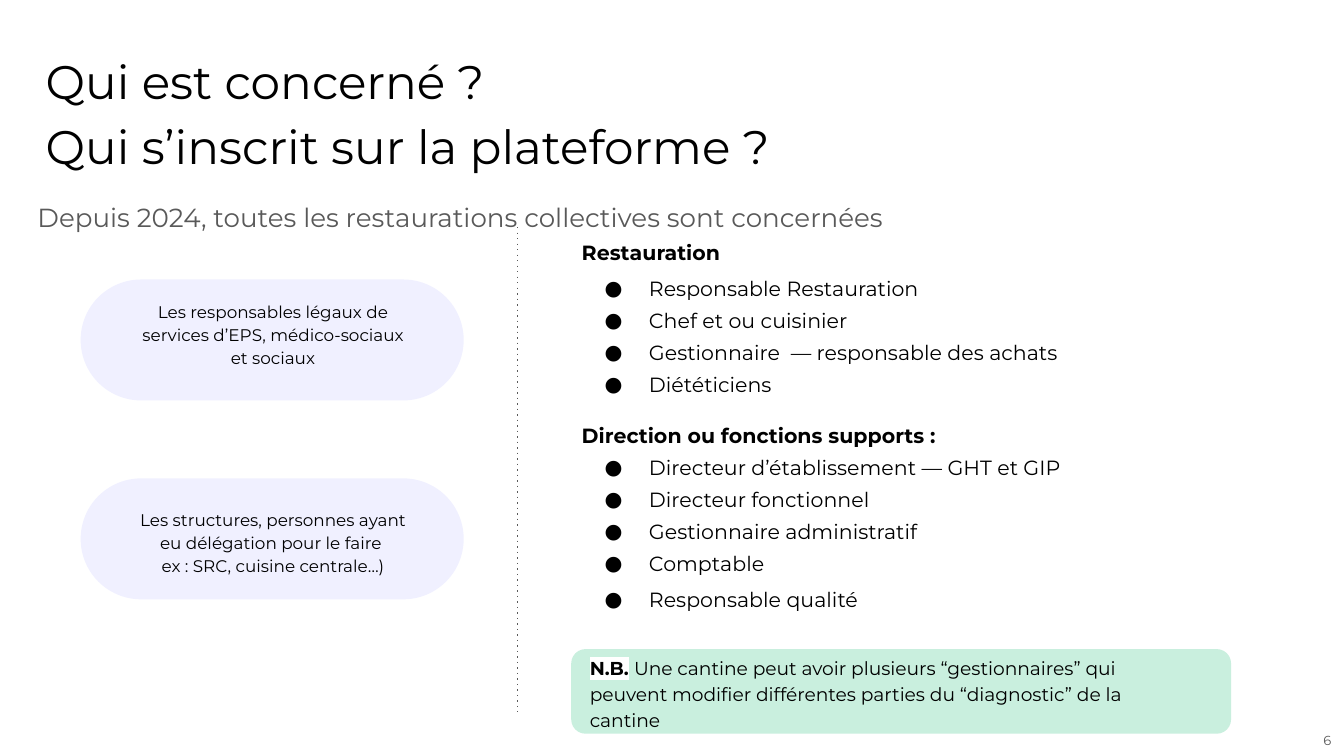
import pptx
import pptx.util
import pptx.dml.color
import pptx.enum.shapes
import pptx.enum.text
import pptx.oxml
import pptx.oxml.ns
from pptx.util import Inches

COLORS = {
    "ink": "000000",
    "grey": "595959",
    "lilac": "F0F0FF",
    "mint": "C9EFDE",
    "white": "FFFFFF",
}
ALIGN = pptx.enum.text.PP_ALIGN
ANCHOR = pptx.enum.text.MSO_ANCHOR


def rgb(name):
    return pptx.dml.color.RGBColor.from_string(COLORS[name])


def node(tag, inner="", **attrs):
    """Make a small DrawingML element."""
    pairs = "".join(f' {key}="{value}"' for key, value in attrs.items())
    space = pptx.oxml.ns.nsdecls("a")
    return pptx.oxml.parse_xml(f"<a:{tag} {space}{pairs}>{inner}</a:{tag}>")


class Page:
    font = "Montserrat"
    pad = 0.1

    def __init__(self, deck):
        self.slide = deck.slides.add_slide(deck.slide_layouts[5])

    def frame(self, shape, anchor=ANCHOR.TOP, pad=pad):
        frame = shape.text_frame
        frame.word_wrap = True
        frame.auto_size = pptx.enum.text.MSO_AUTO_SIZE.NONE
        frame.vertical_anchor = anchor
        frame.margin_left = frame.margin_right = Inches(pad)
        frame.margin_top = frame.margin_bottom = Inches(pad)
        return frame

    def title(self, box, lines, size):
        shape = self.slide.shapes.title
        shape.left, shape.top, shape.width, shape.height = map(Inches, box)
        self.lines(self.para(self.frame(shape), first=True), lines, size)

    def text(self, box, anchor=ANCHOR.TOP, pad=pad):
        return self.frame(self.slide.shapes.add_textbox(*map(Inches, box)), anchor, pad)

    def para(self, frame, first=False, align=ALIGN.LEFT, before=0, after=0, spacing=1.15):
        para = frame.paragraphs[0] if first else frame.add_paragraph()
        para.alignment = align
        para.line_spacing = spacing
        para.space_before = pptx.util.Pt(before)
        para.space_after = pptx.util.Pt(after)
        return para

    def bullet(self, para, size):
        props = para._p.get_or_add_pPr()
        props.set("marL", str(Inches(0.5)))
        props.set("indent", str(-Inches(0.33)))
        props.append(node("buClr", f'<a:srgbClr val="{COLORS["ink"]}"/>'))
        props.append(node("buSzPts", val=size * 100))
        props.append(node("buFont", typeface=self.font))
        props.append(node("buChar", char="●"))

    def run(self, para, words, size, color="ink", bold=False, mark=None):
        run = para.add_run()
        run.text = words
        run.font.size = pptx.util.Pt(size)
        run.font.bold = bold
        run.font.color.rgb = rgb(color)
        run.font.name = self.font
        if mark:
            latin = run._r.rPr.find(pptx.oxml.ns.qn("a:latin"))
            latin.addprevious(node("highlight", f'<a:srgbClr val="{COLORS[mark]}"/>'))

    def lines(self, para, lines, size):
        for i, line in enumerate(lines):
            if i:
                para.add_line_break()
            self.run(para, line, size)

    def panel(self, box, color, round_by):
        kind = pptx.enum.shapes.MSO_SHAPE.ROUNDED_RECTANGLE
        shape = self.slide.shapes.add_shape(kind, *map(Inches, box))
        shape.adjustments[0] = round_by
        shape.shadow.inherit = False
        shape.fill.solid()
        shape.fill.fore_color.rgb = rgb(color)
        shape.line.fill.background()

    def rule(self, x, top, end):
        kind = pptx.enum.shapes.MSO_CONNECTOR.STRAIGHT
        line = self.slide.shapes.add_connector(kind, *map(Inches, (x, top, x, end)))
        line.line.color.rgb = rgb("grey")
        line.line.width = pptx.util.Pt(0.75)
        line.line._ln.append(node("prstDash", val="dot"))
        line._element.spPr.append(node("effectLst"))


def main():
    deck = pptx.Presentation()
    deck.slide_width = Inches(10)
    deck.slide_height = deck.slide_width * 9 // 16
    page = Page(deck)

    # Heading
    page.title((0.24, 0.23, 6.41, 0.63),
               ("Qui est concerné ? ", "Qui s’inscrit sur la plateforme ?"), 25.2)
    para = page.para(page.text((0.18, 1.4, 7.92, 0.37)), first=True, spacing=1)
    page.run(para, "Depuis 2024, toutes les restaurations collectives sont concernées",
             14, "grey")

    # People in charge
    pills = (
        (2.08, (2.12, 0.79),
         ("Les responsables légaux de services d’EPS, médico-sociaux et sociaux",)),
        (3.56, (3.67, 0.7),
         ("Les structures, personnes ayant eu délégation pour le faire ",
          "ex : SRC, cuisine centrale…)")),
    )
    for top, (start, height), lines in pills:
        page.panel((0.6, top, 2.85, 0.9), "lilac", 0.5)
        frame = page.text((0.94, start, 2.18, height))
        page.lines(page.para(frame, first=True, align=ALIGN.CENTER), lines, 9)

    # Divider
    page.rule(3.85, 1.69, 5.3)

    # Roles: heading, space before its first bullet, (role, space after)
    roles = (
        ("Restauration", 4,
         (("Responsable Restauration", 0), ("Chef et ou cuisinier", 0),
          ("Gestionnaire  — responsable des achats", 0), ("Diététiciens", 0))),
        ("Direction ou fonctions supports :", 2,
         (("Directeur d’établissement — GHT et GIP", 0), ("Directeur fonctionnel", 0),
          ("Gestionnaire administratif", 0), ("Comptable", 2), ("Responsable qualité", 2))),
    )
    frame = page.text((4.23, 1.66, 3.91, 3.49))
    for g, (head, gap, items) in enumerate(roles):
        para = page.para(frame, first=g == 0, before=12 if g else 0)
        page.run(para, head, 11, bold=True)
        for i, (item, after) in enumerate(items):
            para = page.para(frame, before=2 if i else gap, after=after)
            page.bullet(para, 11)
            page.run(para, item, 11)

    # Note
    page.panel((4.25, 4.83, 4.91, 0.63), "mint", 0.17)
    para = page.para(page.text((4.29, 4.77, 4.7, 0.76), ANCHOR.MIDDLE), first=True)
    page.run(para, "N.B.", 10, bold=True, mark="white")
    page.run(para, " ", 10, bold=True)
    page.run(para, "Une cantine peut avoir plusieurs “gestionnaires” qui peuvent modifier "
             "différentes parties du “diagnostic” de la cantine", 10)

    # Page number
    frame = page.text((9.75, 5.39, 0.25, 0.23), ANCHOR.MIDDLE, 0)
    page.run(page.para(frame, first=True, align=ALIGN.CENTER, spacing=1), "6", 7, "grey")

    deck.save("out.pptx")


if __name__ == "__main__":
    main()
